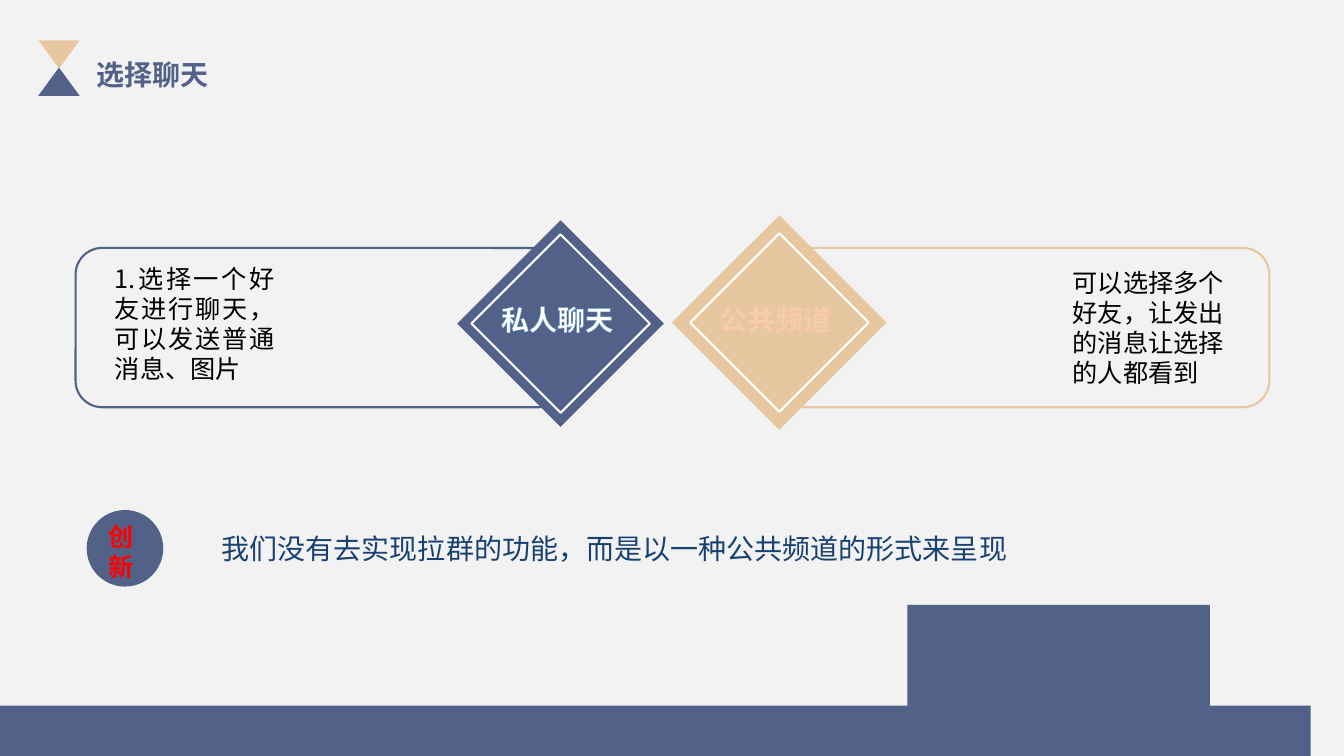
import pptx
import pptx.util
import pptx.dml.color
import pptx.enum.shapes
import pptx.enum.text
import pptx.oxml.ns
from lxml import etree

Inches, Pt = pptx.util.Inches, pptx.util.Pt
RGBColor = pptx.dml.color.RGBColor
SHAPE = pptx.enum.shapes.MSO_SHAPE
ALIGN = pptx.enum.text.PP_ALIGN
qn = pptx.oxml.ns.qn

NAVY = RGBColor(0x52, 0x61, 0x88)
SAND = RGBColor(0xE7, 0xC7, 0xA0)
WHITE = RGBColor(0xFF, 0xFF, 0xFF)
BLACK = RGBColor(0, 0, 0)
RED = RGBColor(0xFF, 0, 0)
INK = RGBColor(0x18, 0x41, 0x72)
PEACH = RGBColor(0xF8, 0xCB, 0xAD)
PAPER = RGBColor(0xF2, 0xF2, 0xF2)
OUTLINE = "5B9BD5"
FONT, BADGE_FONT = "Noto Sans CJK SC", "Noto Sans CJK JP"

WIDTH, HEIGHT = 13.33, 7.5
TITLE = "选择聊天"
INNOVATION = "我们没有去实现拉群的功能，而是以一种公共频道的形式来呈现"
BADGE = "创新"
PANEL_SIZE, PANEL_TOP = (4.86, 1.58), 2.46
INNER_DIAMOND = 1.77
LABEL_SIZE, LABEL_TOP = (1.41, 0.44), 2.95
NOTE_SIZE = (1.78, 1.31)
CHATS = [
    dict(label="公共频道", ink=PEACH, outline=None, color=SAND, panel_left=7.73,
         center=(7.73, 3.2), diamond=2.13, label_left=7.04,
         note="可以选择多个好友，让发出的消息让选择的人都看到",
         note_at=(10.54, 2.6), align=ALIGN.LEFT),
    dict(label="私人聊天", ink=WHITE, outline=OUTLINE, color=NAVY, panel_left=0.75,
         center=(5.56, 3.21), diamond=2.05, label_left=4.87,
         note="1.选择一个好友进行聊天，可以发送普通消息、图片",
         note_at=(1.04, 2.56), align=ALIGN.JUSTIFY),
]
# The wave starts at the first point; each later entry is a Bezier segment.
WAVE_START = (0, 6.75)
WAVE_CURVES = [
    [(0, 6.75), (1.57, 7.09), (3.43, 7.09)],
    [(5.28, 7.09), (8.4, 6.42), (10.65, 6.42)],
    [(11.49, 6.42), (12.32, 6.48), (13.04, 6.56)],
]
WAVE_CORNERS = [(13.33, 6.6), (13.33, 7.53), (0, 7.53)]
CURVE_STEPS = 40


def add_shape(page, kind, left, top, width, height, fill=None, line=None):
    """Add a preset shape with a plain fill or a plain outline."""
    shape = page.shapes.add_shape(kind, *map(Inches, (left, top, width, height)))
    paint(shape, fill, line)
    return shape


def paint(shape, fill=None, line=None):
    """Set the fill and outline of a shape and drop its shadow."""
    shape.shadow.inherit = False
    if fill is None:
        shape.fill.background()
    else:
        shape.fill.solid()
        shape.fill.fore_color.rgb = fill
    if line is None:
        shape.line.fill.background()
    else:
        shape.line.color.rgb = line
        shape.line.width = Pt(1.5)


def write(box, text, size, color, bold=False, align=ALIGN.JUSTIFY, font=FONT, outline=None):
    """Write one formatted run into a box."""
    frame = box.text_frame
    frame.word_wrap = True
    frame.auto_size = pptx.enum.text.MSO_AUTO_SIZE.NONE
    frame.vertical_anchor = pptx.enum.text.MSO_ANCHOR.TOP
    para = frame.paragraphs[0]
    para.alignment = align
    span = para.add_run()
    span.text = text
    span.font.size, span.font.bold, span.font.name = Pt(size), bold, font
    span.font.color.rgb = color
    properties = span.font._element
    latin = properties.find(qn("a:latin"))
    east_asian = etree.Element(qn("a:ea"), typeface=font)
    latin.addnext(east_asian)
    if outline:
        edge = etree.Element(qn("a:ln"), w=str(Pt(0.8)))
        solid = etree.SubElement(edge, qn("a:solidFill"))
        etree.SubElement(solid, qn("a:srgbClr"), val=outline)
        properties.insert(0, edge)


def add_text(page, left, top, width, height, *content, **style):
    """Add a text box holding one formatted run."""
    box = page.shapes.add_textbox(*map(Inches, (left, top, width, height)))
    write(box, *content, **style)


def add_diamond(page, center, side, **colors):
    """Add a diamond around its centre."""
    x, y = center
    return add_shape(page, SHAPE.DIAMOND, x - side / 2, y - side / 2, side, side, **colors)


def add_wave(page):
    """Draw the wave along the bottom edge."""
    points, start = [], WAVE_START
    for first, second, end in WAVE_CURVES:
        for step in range(1, CURVE_STEPS + 1):
            t = step / CURVE_STEPS
            u = 1 - t
            points.append(tuple(
                u**3 * a + 3 * u * u * t * b + 3 * u * t * t * c + t**3 * d
                for a, b, c, d in zip(start, first, second, end)))
        start = end
    builder = page.shapes.build_freeform(*WAVE_START, scale=Inches(1))
    builder.add_line_segments(points + WAVE_CORNERS, close=True)
    paint(builder.convert_to_shape(), fill=NAVY)


def add_heading(page):
    """Place the title beside its hourglass mark."""
    lower = add_shape(page, SHAPE.ISOSCELES_TRIANGLE, 0.38, 0.67, 0.41, 0.28, fill=NAVY)
    upper = add_shape(page, SHAPE.ISOSCELES_TRIANGLE, 0.38, 0.4, 0.41, 0.28, fill=SAND)
    upper.rotation = 180
    page.shapes.add_group_shape([lower, upper])
    title = page.shapes.title
    title.left, title.top, title.width, title.height = map(Inches, (0.86, 0.52, 1.79, 0.44))
    write(title, TITLE, 20, NAVY, bold=True)


deck = pptx.Presentation()
deck.slide_width, deck.slide_height = Inches(WIDTH), Inches(HEIGHT)
page = deck.slides.add_slide(deck.slide_layouts[5])
page.background.fill.solid()
page.background.fill.fore_color.rgb = PAPER

add_wave(page)
add_heading(page)
for chat in CHATS:
    add_shape(page, SHAPE.ROUNDED_RECTANGLE, chat["panel_left"], PANEL_TOP, *PANEL_SIZE,
              line=chat["color"])
for chat in CHATS:
    page.shapes.add_group_shape([
        add_diamond(page, chat["center"], chat["diamond"], fill=chat["color"]),
        add_diamond(page, chat["center"], INNER_DIAMOND, line=WHITE)])
    add_text(page, *chat["note_at"], *NOTE_SIZE, chat["note"], 18, BLACK, align=chat["align"])
    add_text(page, chat["label_left"], LABEL_TOP, *LABEL_SIZE, chat["label"], 20, chat["ink"],
             bold=True, outline=chat["outline"])
add_text(page, 2.1, 5.22, 8.76, 0.44, INNOVATION, 20, INK)
add_shape(page, SHAPE.OVAL, 0.86, 5.06, 0.76, 0.76, fill=NAVY)
add_text(page, 0.98, 5.12, 0.52, 0.71, BADGE, 18, RED, bold=True, align=ALIGN.LEFT,
         font=BADGE_FONT)

deck.save("out.pptx")
